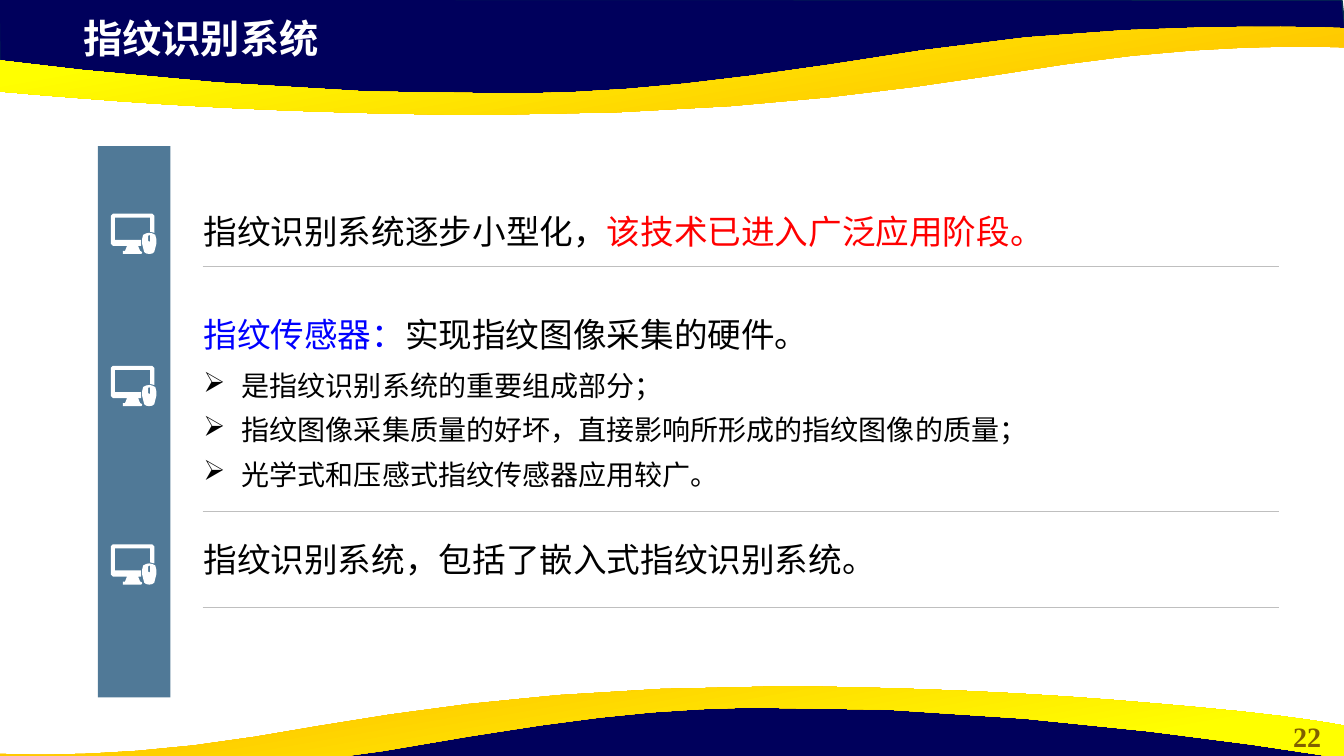
from lxml import etree
from pptx import Presentation
from pptx.dml.color import RGBColor
from pptx.enum.shapes import MSO_CONNECTOR, MSO_SHAPE
from pptx.enum.text import MSO_ANCHOR, PP_ALIGN
from pptx.oxml.ns import qn
from pptx.util import Emu, Inches, Pt

LINE, RECT = MSO_CONNECTOR.STRAIGHT, MSO_SHAPE.RECTANGLE
TOP, BOTTOM = MSO_ANCHOR.TOP, MSO_ANCHOR.BOTTOM
LEFT, CENTER = PP_ALIGN.LEFT, PP_ALIGN.CENTER
FONT = "Times New Roman"
NAVY, BLACK, WHITE, RED, BLUE = "00005C", "000000", "FFFFFF", "FF0000", "0000FF"

# The slide is a grid of 1333 columns by 750 rows, each 0.01 inch
COLS, ROWS = 1333, 750
TEXT_X, RULE_X, RULE_END = 192, 201, 1269

# Outlines: a start point, then lines (x, y) and curves (three points)
WAVE = [(-1, -1), (0, 70), (293, 102), (559, 100), (795, 88), (1016, 50),
        (1238, 33), (1335, 38), (1331, 0)]
RIBBON = [(483, 114), (443, 114, 401, 113, 356, 112), (206, 108, 110, 100, 36, 94),
          (-88, 84, -130, 75, -133, 75), (-133, 42), (-133, 42, 218, 98, 517, 93),
          (626, 91, 708, 83, 915, 50), (1121, 18, 1333, 28, 1333, 28), (1333, 47),
          (1330, 47), (1305, 46, 1195, 43, 1055, 64), (918, 85, 762, 113, 483, 114)]
WHEEL = [(38, 21), (37, 22), (37, 27), (38, 28), (39, 27), (39, 22)]
MOUSE = [(38, 19), (41, 19.5), (44, 21), (45, 25), (45, 30), (43, 38), (41, 39.5),
         (38, 40), (35, 39.5), (33, 38), (31, 30), (31, 25), (32, 21), (35, 19.5)]
MONITOR = [(2, 0), (41, 0), (43, 2), (43, 19), (39, 18), (39, 4), (4, 4), (4, 26),
           (30, 26), (30, 32), (27, 32), (29, 37), (31, 38), (31, 39), (30, 40),
           (12, 40), (12, 37), (14, 37), (16, 32), (2, 32), (0, 30), (0, 2)]


def grid(*values):
    return [Inches(v / 100) for v in values]


def color(hex_value):
    return RGBColor.from_string(hex_value)


def pairs(segment):
    return list(zip(segment[::2], segment[1::2]))


def turned(outline, foot, stretch=1):
    """Turn an outline half round so that it edges the slide's foot."""
    return [tuple(v for x, y in pairs(segment)
                  for v in ((COLS - x) * stretch, foot - y)) for segment in outline]


def flatten(outline, steps=6):
    """Return the points of an outline with its curves cut into chords."""
    points = [outline[0]]
    for segment in outline[1:]:
        if len(segment) == 2:
            points.append(segment)
            continue
        corners = [points[-1]] + pairs(segment)
        for i in range(1, steps + 1):
            t = i / steps
            weights = ((1 - t) ** 3, 3 * t * (1 - t) ** 2, 3 * t * t * (1 - t), t ** 3)
            points.append(tuple(sum(w * c[axis] for w, c in zip(weights, corners))
                                for axis in (0, 1)))
    return points


def add_outline(s, outlines, fill=None, line=None, x=0, y=0):
    builder = None
    for outline in outlines:
        points = [grid(px + x, py + y) for px, py in flatten(outline)]
        if builder is None:
            builder = s.shapes.build_freeform(*points[0], scale=1.0)
        else:
            builder.move_to(*points[0])
        builder.add_line_segments(points[1:], close=True)
    sp = builder.convert_to_shape(Emu(0), Emu(0))
    paint(sp, fill, line)
    return sp


def paint(sp, fill=None, line=None):
    sp.shadow.inherit = False
    if fill:
        sp.fill.solid()
        sp.fill.fore_color.rgb = color(fill)
    if line:
        sp.line.color.rgb = color(line)
        sp.line.width = Pt(1)
    else:
        sp.line.fill.background()


def add_ribbon(s, outline, angle):
    sp = add_outline(s, [outline])
    sp.fill.gradient()
    sp.fill.gradient_angle = angle
    stops = ((0.11, "FFC000"), (0.78, "FFFF00"))
    for stop, (position, shade) in zip(sp.fill.gradient_stops, stops):
        stop.position = position
        stop.color.rgb = color(shade)


def add_bar(s, x, y, w, h, fill, opacity):
    sp = s.shapes.add_shape(RECT, *grid(x, y, w, h))
    paint(sp, fill)
    shade = sp._element.spPr.find(qn("a:solidFill")).find(qn("a:srgbClr"))
    etree.SubElement(shade, qn("a:alpha")).set("val", str(opacity * 1000))


def add_rule(s, y):
    c = s.shapes.add_connector(LINE, *grid(RULE_X, y, RULE_END, y))
    c.line.color.rgb = color("BFBFBF")
    c.line.width = Pt(0.25)
    etree.SubElement(c._element.spPr, qn("a:effectLst"))


def add_bullet(p):
    pPr = p._p.get_or_add_pPr()
    pPr.set("marL", str(Inches(0.38)))
    pPr.set("indent", str(-Inches(0.38)))
    etree.SubElement(pPr, qn("a:buChar")).set("char", "➢")


def add_text(s, x, y, w, h, paragraphs, size=24, bold=False, align=LEFT,
             anchor=TOP, spacing=None, bullet=False):
    """Write paragraphs, each a list of (text, colour) runs."""
    tf = s.shapes.add_textbox(*grid(x, y, w, h)).text_frame
    tf.word_wrap = True
    tf.vertical_anchor = anchor
    for i, runs in enumerate(paragraphs):
        p = tf.add_paragraph() if i else tf.paragraphs[0]
        p.alignment = align
        if spacing:
            p.line_spacing = spacing
        if bullet:
            add_bullet(p)
        for text, shade in runs:
            r = p.add_run()
            r.text = text
            r.font.name, r.font.size, r.font.bold = FONT, Pt(size), bold
            r.font.color.rgb = color(shade)


def main():
    prs = Presentation()
    prs.slide_width, prs.slide_height = grid(COLS, ROWS)
    s = prs.slides.add_slide(prs.slide_layouts[6])

    # Waves at the head and foot
    add_outline(s, [WAVE], NAVY, "05304F")
    add_ribbon(s, RIBBON, 100)
    add_outline(s, [turned(WAVE, 793)], NAVY, "05304F")
    add_ribbon(s, turned(RIBBON, 795, 0.91), 280)

    # Slide number and title
    add_text(s, 1260, 709, 73, 44, [[("22", "806000")]], size=20, bold=True, align=CENTER)
    add_text(s, 73, 9, 768, 57, [[("指纹识别系统", WHITE)]], size=28, bold=True)

    # Side bar with computer icons
    add_bar(s, 97, 145, 72, 547, "07416B", 70)
    for y in (212, 363, 540):
        add_outline(s, [WHEEL, MOUSE, MONITOR], WHITE, x=110, y=y)

    # Statements
    statements = [
        (190, 64, [("指纹识别系统逐步小型化，", BLACK), ("该技术已进入广泛应用阶段。", RED)]),
        (310, 46, [("指纹传感器：", BLUE), ("实现指纹图像采集的硬件。", BLACK)]),
        (534, 46, [("指纹识别系统，包括了嵌入式指纹识别系统。", BLACK)]),
    ]
    for y, h, runs in statements:
        add_text(s, TEXT_X, y, 1068, h, [runs], anchor=BOTTOM)

    # Sensor details
    details = ["是指纹识别系统的重要组成部分；",
               "指纹图像采集质量的好坏，直接影响所形成的指纹图像的质量；",
               "光学式和压感式指纹传感器应用较广。"]
    add_text(s, TEXT_X, 350, 1027, 121, [[(text, BLACK)] for text in details],
             size=20, spacing=1.32, bullet=True)

    # Rules below the statements
    for y in (264, 507, 602):
        add_rule(s, y)

    prs.save("out.pptx")


if __name__ == "__main__":
    main()
